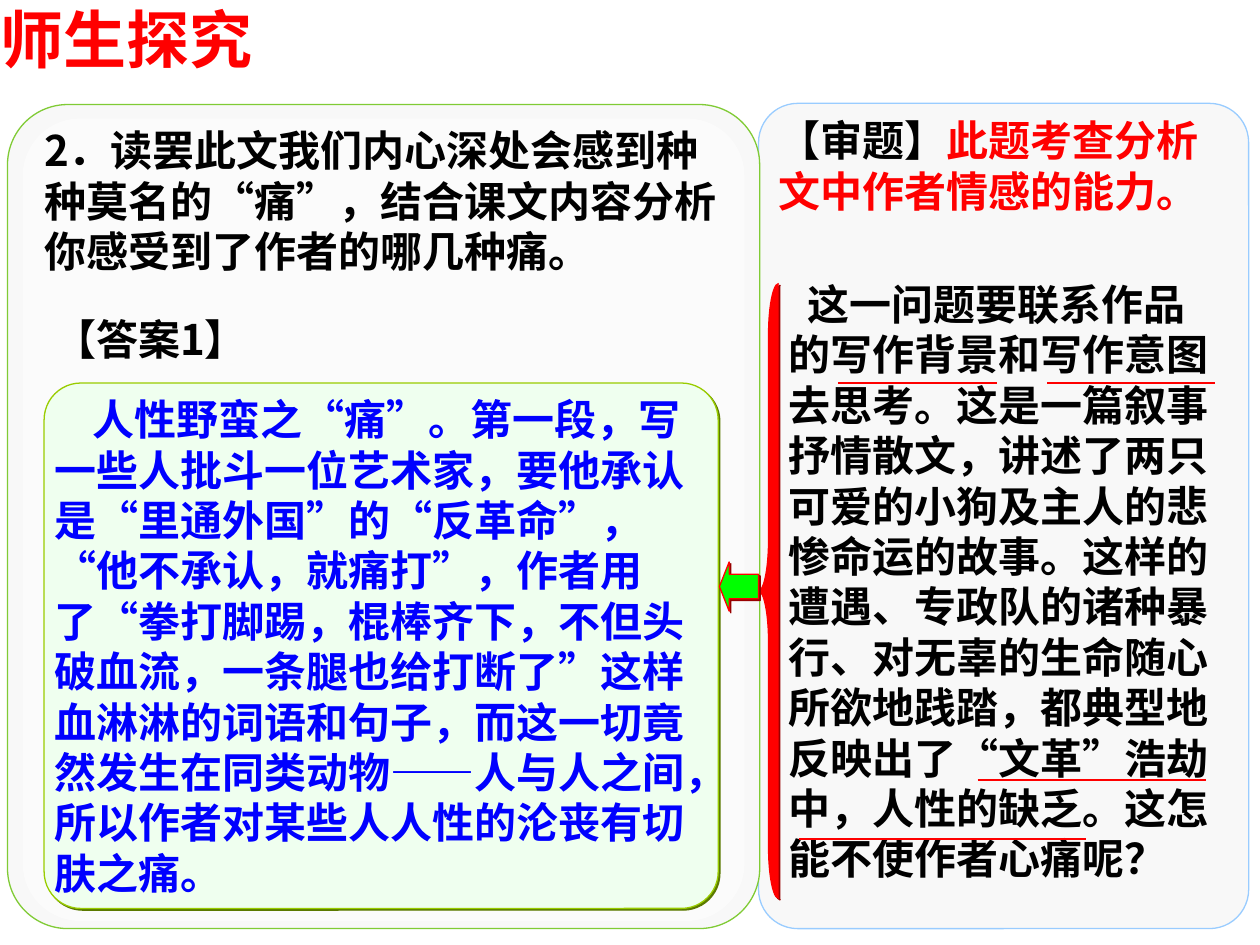
from lxml.etree import SubElement
from pptx import Presentation
from pptx.dml.color import RGBColor
from pptx.enum.shapes import MSO_CONNECTOR, MSO_SHAPE
from pptx.enum.text import MSO_ANCHOR, MSO_AUTO_SIZE, PP_ALIGN
from pptx.oxml.ns import qn
from pptx.util import Inches, Pt

CHINESE_FONT = "Noto Sans CJK SC"
BLACK, RED, BLUE = "000000", "FF0000", "0000FF"
DARK_RED = "980000"
QUESTION = "2．读罢此文我们内心深处会感到种种莫名的“痛”，结合课文内容分析你感受到了作者的哪几种痛。"
ANSWER = (
    "人性野蛮之“痛”。第一段，写一些人批斗一位艺术家，要他承认是“里通外国”的“反革命”，"
    "“他不承认，就痛打”，作者用了“拳打脚踢，棍棒齐下，不但头破血流，一条腿也给打断了”"
    "这样血淋淋的词语和句子，而这一切竟然发生在同类动物——人与人之间，"
    "所以作者对某些人人性的沦丧有切肤之痛。"
)
ANALYSIS = (
    "这一问题要联系作品的写作背景和写作意图去思考。这是一篇叙事抒情散文，"
    "讲述了两只可爱的小狗及主人的悲惨命运的故事。这样的遭遇、专政队的诸种暴行、"
    "对无辜的生命随心所欲地践踏，都典型地反映出了“文革”浩劫中，人性的缺乏。"
    "这怎能不使作者心痛呢？"
)
UNDERLINES = [(6.65, 7.91, 3.04), (8.31, 9.64, 3.04), (7.76, 9.57, 6.19), (6.34, 8.62, 6.66)]


def color(value):
    """Turn a hex string into a colour."""
    return RGBColor.from_string(value)


def apply(target, values):
    """Set every attribute named in a dict of values."""
    for name, value in values.items():
        setattr(target, name, value)


def cast_shadow(effects, shade):
    """Add a hard shadow to the lower right to an effect list."""
    shadow = SubElement(effects, qn("a:outerShdw"), dist=str(Pt(1.4)), dir="2700000", algn="ctr", rotWithShape="0")
    SubElement(shadow, qn("a:srgbClr"), val=shade)


def place(shape, bounds):
    """Move and size a shape to left, top, width and height."""
    apply(shape, dict(zip(("left", "top", "width", "height"), map(Inches, bounds))))


def write(shape, spans, size=24, font="Noto Sans CJK SC", anchor=MSO_ANCHOR.TOP, indent=0, shadow=True):
    """Fill a shape with one paragraph of coloured bold spans."""
    frame = shape.text_frame
    apply(frame, {
        "word_wrap": True, "auto_size": MSO_AUTO_SIZE.NONE, "vertical_anchor": anchor,
        "margin_left": 0, "margin_top": 0, "margin_right": 0, "margin_bottom": 0,
    })
    para = frame.paragraphs[0]
    properties = para._p.get_or_add_pPr()
    properties.set("marL", "0")
    properties.set("indent", str(Inches(indent)))
    SubElement(properties, qn("a:buNone"))
    apply(para, {"alignment": PP_ALIGN.LEFT, "line_spacing": Pt(size * 1.2), "space_before": Pt(0)})
    for text, shade in spans:
        span = para.add_run()
        span.text = text
        apply(span.font, {"size": Pt(size), "bold": True, "name": font})
        span.font.color.rgb = color(shade)
        run_properties = span._r.get_or_add_rPr()
        run_properties.set("lang", "zh-CN")
        SubElement(run_properties, qn("a:ea"), typeface=CHINESE_FONT)
        if shadow:
            effects = SubElement(run_properties, qn("a:effectLst"))
            cast_shadow(effects, "808080")
            run_properties.find(qn("a:latin")).addprevious(effects)


def add_text(page, bounds, spans, **options):
    """Add a text box."""
    box = page.shapes.add_textbox(*map(Inches, bounds))
    write(box, spans, **options)


def fill_placeholder(placeholder, bounds, spans, **options):
    """Move a placeholder in front of the panels and write in it."""
    place(placeholder, bounds)
    write(placeholder, spans, **options)
    element = placeholder._element
    element.getparent().append(element)


def add_shape(page, kind, bounds, fill, line=None, adjustments=(), shadow=None, opacity=None):
    """Add a filled preset shape."""
    shape = page.shapes.add_shape(kind, *map(Inches, bounds))
    for index, value in enumerate(adjustments):
        shape.adjustments[index] = value
    shape.fill.solid()
    shape.fill.fore_color.rgb = color(fill)
    if opacity:
        shade = shape._element.spPr.find(qn("a:solidFill"))[0]
        SubElement(shade, qn("a:alpha"), val=str(opacity * 1000))
    if line:
        shape.line.color.rgb = color(line)
        shape.line.width = Pt(0.75)
    else:
        shape.line.fill.background()
    shape.shadow.inherit = False
    if shadow:
        cast_shadow(shape._element.spPr.find(qn("a:effectLst")), shadow)
    return shape


def add_underline(page, start, end, top):
    """Add a red horizontal line below key words."""
    line = page.shapes.add_connector(MSO_CONNECTOR.STRAIGHT, *map(Inches, (start, top, end, top)))
    line.line.color.rgb = color(RED)
    line.line.width = Pt(1)
    SubElement(line._element.spPr, qn("a:effectLst"))


def main():
    """Build and save the slide."""
    deck = Presentation()
    apply(deck, {"slide_width": Inches(10), "slide_height": Inches(7.5)})
    page = deck.slides.add_slide(deck.slide_layouts[1])
    title, body = page.placeholders
    rounded = MSO_SHAPE.ROUNDED_RECTANGLE

    add_shape(page, rounded, (6.02, 0.82, 3.89, 6.55), "F8F8F8", "99CCFF", [0.08])
    add_shape(page, rounded, (0.06, 0.83, 5.97, 6.54), "F8F8F8", "80CB35", [0.08])
    add_shape(page, rounded, (0.18, 0.94, 5.73, 6.37), "FFFFFF", adjustments=[0.08], opacity=50)

    fill_placeholder(title, (0, 0, 3.35, 0.6), [("师生探究", RED)], size=36, font="Arial")
    fill_placeholder(body, (0.35, 0.99, 5.36, 1.2), [(QUESTION, BLACK)], anchor=MSO_ANCHOR.MIDDLE)

    answer = add_shape(page, rounded, (0.35, 3.04, 5.35, 4.17), "EFFFEF", "99CC00", [0.07], "5B7900")
    write(answer, [(ANSWER, BLUE)], anchor=MSO_ANCHOR.MIDDLE, indent=0.3, shadow=False)
    add_text(page, (6.26, 2.21, 3.39, 4.8), [(ANALYSIS, BLACK)], anchor=MSO_ANCHOR.MIDDLE, indent=0.15)
    add_text(page, (6.18, 0.91, 3.54, 0.8), [("【审题】", BLACK), ("此题考查分析文中作者情感的能力。", RED)])
    add_text(page, (0.43, 2.49, 1.81, 0.4), [("【答案1】", BLACK)])

    for underline in UNDERLINES:
        add_underline(page, *underline)
    add_shape(page, MSO_SHAPE.LEFT_BRACE, (6.02, 2.25, 0.16, 4.88), RED, RED, [2.56, 0.5], DARK_RED)
    add_shape(page, MSO_SHAPE.LEFT_ARROW, (5.71, 4.46, 0.31, 0.39), "00FF00", RED, [0.5, 0.25], DARK_RED)
    deck.save("out.pptx")


if __name__ == "__main__":
    main()
